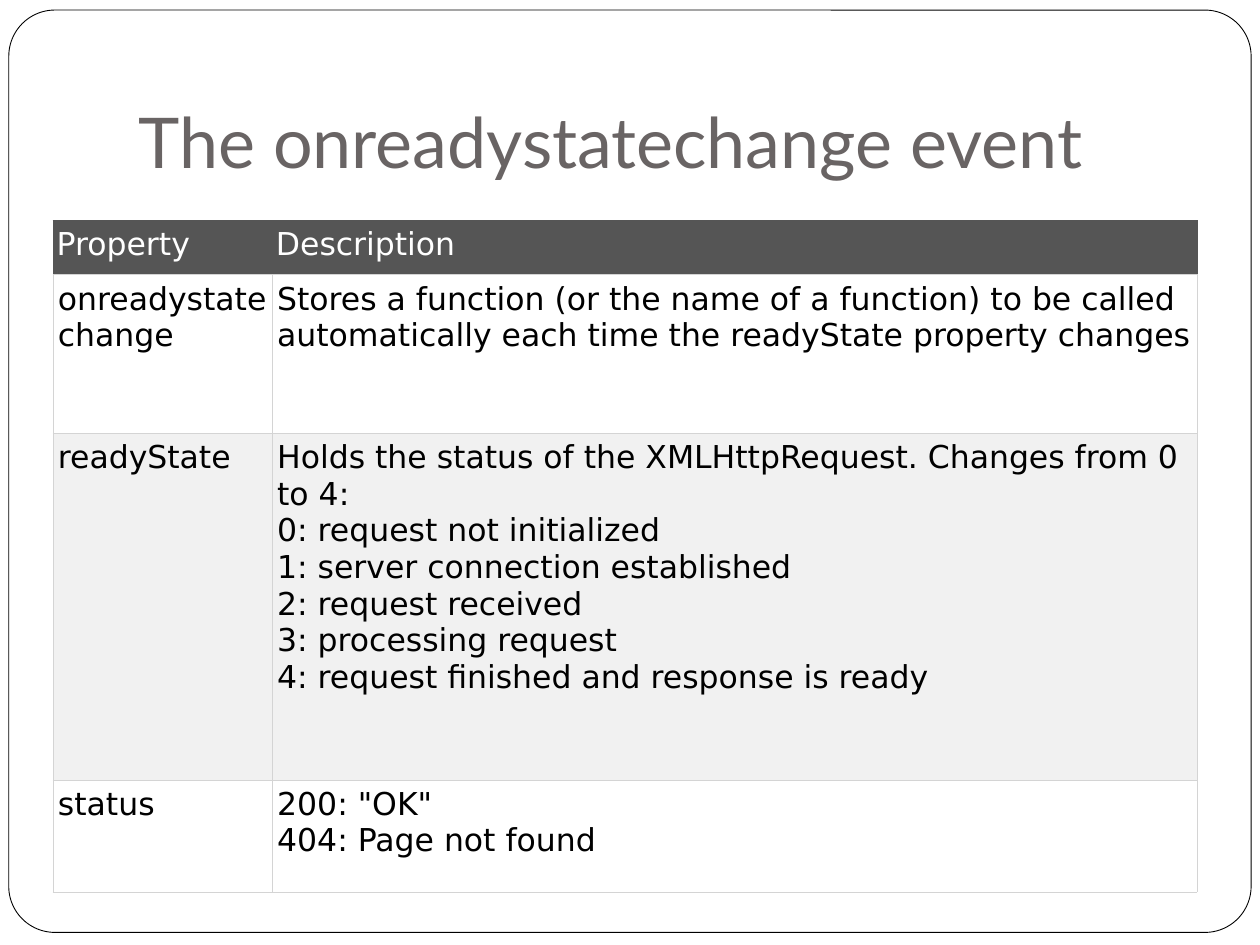
from pptx import Presentation
from pptx.dml.color import RGBColor
from pptx.enum.shapes import MSO_SHAPE
from pptx.enum.text import MSO_ANCHOR, MSO_AUTO_SIZE, PP_ALIGN
from pptx.oxml import parse_xml
from pptx.oxml.ns import nsdecls
from pptx.util import Inches, Pt

COLS = [1.74, 7.34]
ROWS = [0.43, 1.26, 2.75, 0.89]
HEAD, GRID = "555555", "D4D4D4"
FILLS = [HEAD, "FFFFFF", "F1F1F1", "FFFFFF"]
CELLS = [
    ("Property", "Description"),
    ("onreadystatechange",
     "Stores a function (or the name of a function) to be called "
     "automatically each time the readyState property changes"),
    ("readyState",
     "Holds the status of the XMLHttpRequest. Changes from 0 to 4:\n"
     "0: request not initialized\n"
     "1: server connection established\n"
     "2: request received\n"
     "3: processing request\n"
     "4: request finished and response is ready"),
    ("status", '200: "OK"\n404: Page not found'),
]


def color(code):
    return RGBColor.from_string(code)


def write(frame, text, size=18, font="DejaVu Sans", ink="000000"):
    """Fill a text frame with one left-aligned paragraph."""
    para = frame.paragraphs[0]
    para.text = text
    para.alignment = PP_ALIGN.LEFT
    for run in para.runs:
        run.font.size = Pt(size)
        run.font.name = font
        run.font.color.rgb = color(ink)


def border(cell, **sides):
    """Draw thin cell edges, given as side=colour in the order L, R, T, B."""
    props = cell._tc.get_or_add_tcPr()
    for side, code in sides.items():
        props.append(parse_xml(
            f'<a:ln{side} {nsdecls("a")} w="{Pt(0.28)}"><a:solidFill>'
            f'<a:srgbClr val="{code}"/></a:solidFill></a:ln{side}>'))


def add_title(slide, text):
    title = slide.shapes.title
    title.left, title.top = Inches(1), Inches(0.3)
    title.width, title.height = Inches(8.5), Inches(1.25)
    frame = title.text_frame
    frame.auto_size = MSO_AUTO_SIZE.NONE
    frame.word_wrap = True
    frame.vertical_anchor = MSO_ANCHOR.BOTTOM
    frame.margin_bottom = Inches(0.1)
    write(frame, text, size=40, font="Lato", ink="696464")


def add_frame(slide):
    """Rounded outline around the slide, behind the title."""
    box = slide.shapes.add_shape(
        MSO_SHAPE.ROUNDED_RECTANGLE,
        Inches(0.07), Inches(0.08), Inches(9.86), Inches(7.32))
    box.adjustments[0] = 0.05
    box.shadow.inherit = False
    box.fill.solid()
    box.fill.fore_color.rgb = color("FFFFFF")
    box.line.color.rgb = color("000000")
    box.line.width = Pt(0.5)
    slide.shapes.title._element.addprevious(box._element)


def add_grid(slide):
    table = slide.shapes.add_table(
        len(ROWS), len(COLS), Inches(0.42), Inches(1.75),
        Inches(sum(COLS)), Inches(sum(ROWS))).table
    for col, width in zip(table.columns, COLS):
        col.width = Inches(width)
    for row, height, fill, texts in zip(table.rows, ROWS, FILLS, CELLS):
        row.height = Inches(height)
        top = fill == HEAD
        edge = HEAD if top else GRID
        for cell, text in zip(row.cells, texts):
            cell.margin_left = cell.margin_right = Inches(0.03 if top else 0.04)
            border(cell, L=edge, R=edge, T=edge, B=GRID)
            cell.fill.solid()
            cell.fill.fore_color.rgb = color(fill)
            write(cell.text_frame, text, ink="FFFFFF" if top else "000000")


def main():
    deck = Presentation()
    deck.slide_width, deck.slide_height = Inches(10), Inches(7.5)
    slide = deck.slides.add_slide(deck.slide_layouts[5])
    add_title(slide, "The onreadystatechange event")
    add_frame(slide)
    add_grid(slide)
    deck.save("out.pptx")


if __name__ == "__main__":
    main()
